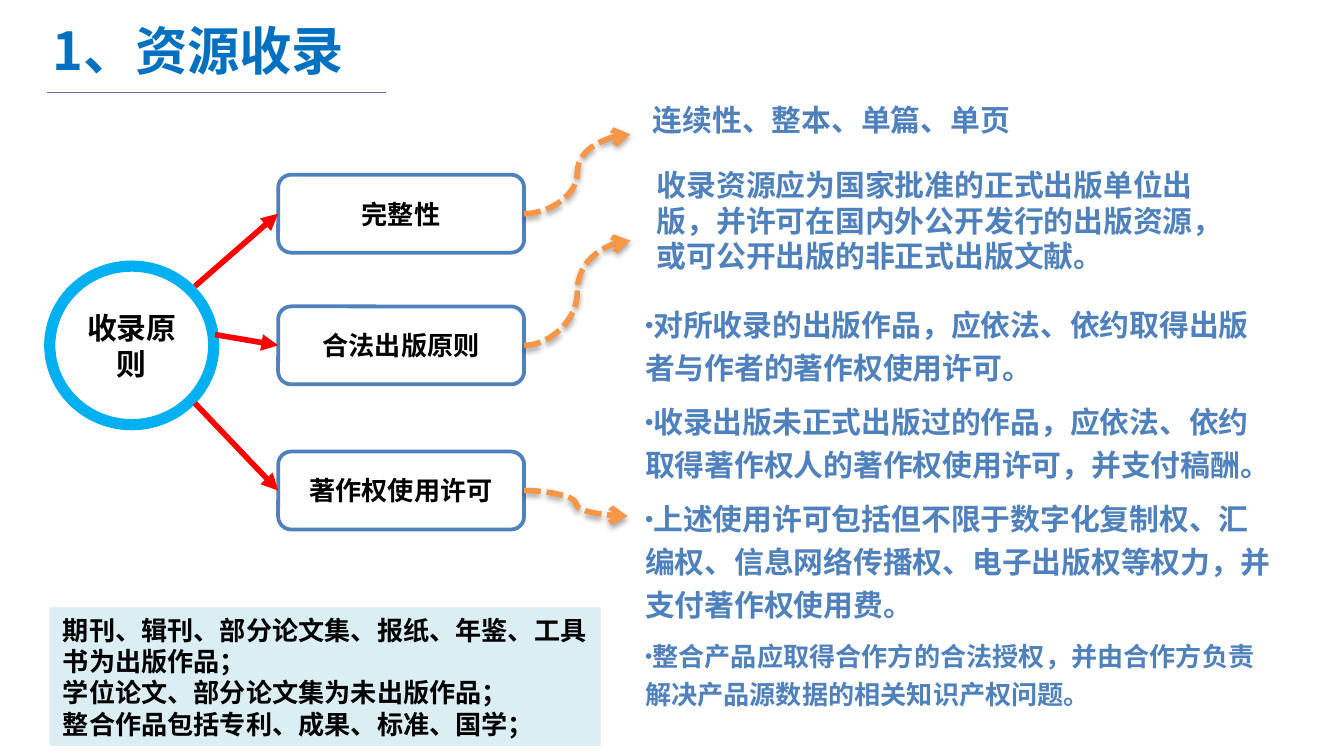
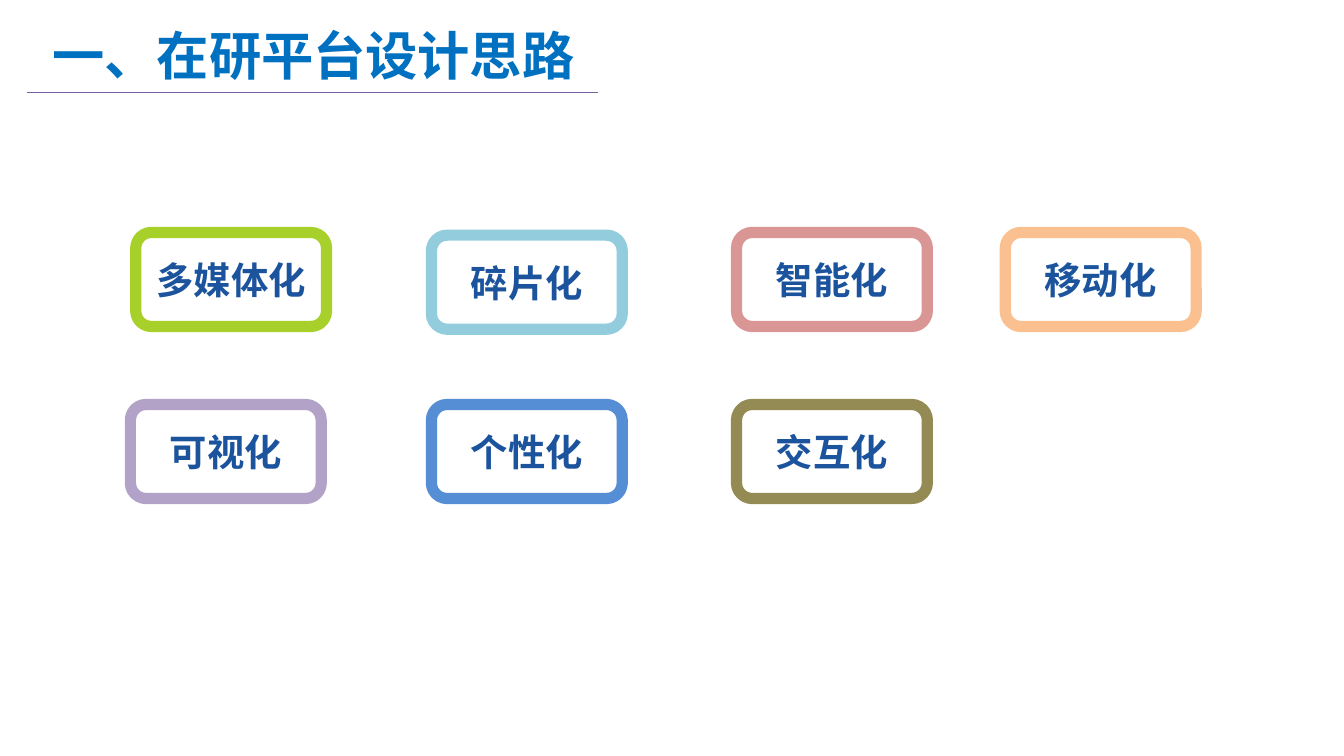
from itertools import chain, repeat

from lxml.etree import SubElement
from pptx import Presentation
from pptx.dml.color import RGBColor
from pptx.enum.dml import MSO_LINE
from pptx.enum.lang import MSO_LANGUAGE_ID
from pptx.enum.shapes import MSO_CONNECTOR, MSO_SHAPE
from pptx.enum.text import MSO_ANCHOR, MSO_AUTO_SIZE, PP_ALIGN
from pptx.oxml.ns import qn
from pptx.util import Inches, Pt

COLUMNS, ROWS = 100, 56.25
CJK = "Noto Sans CJK SC"
LATIN = "Calibri"
COLORS = {
    "title": "0070C0", "rule": "7D60A0", "white": "FFFFFF", "black": "000000",
    "ring": "00B0F0", "blue": "4F81BD", "orange": "F79646", "red": "FF0000",
    "note": "DBEEF4", "label": "1B539D", "lime": "A8D02A", "aqua": "93CDDD",
    "rose": "D99694", "peach": "FAC090", "lilac": "B3A2C7", "azure": "558ED5",
    "olive": "948A54",
}


def rgb(name):
    return RGBColor.from_string(COLORS[name])


def add_bullet(paragraph, color):
    properties = paragraph._p.get_or_add_pPr()
    properties.set("marL", "0")
    properties.set("indent", "0")
    tint = SubElement(properties, qn("a:buClr"))
    SubElement(tint, qn("a:srgbClr"), val=COLORS[color])
    SubElement(properties, qn("a:buSzPct"), val="80000")
    SubElement(properties, qn("a:buFont"), typeface="Arial")
    SubElement(properties, qn("a:buChar"), char="•")


def write(frame, text, sizes=(16,), font=CJK, color="black", align=PP_ALIGN.LEFT,
          anchor=MSO_ANCHOR.TOP, wrap=True, grow=False, inset=0.1,
          bullet=False, spacing=1.0, gap=0):
    frame.word_wrap = wrap
    frame.vertical_anchor = anchor
    frame.auto_size = MSO_AUTO_SIZE.SHAPE_TO_FIT_TEXT if grow else MSO_AUTO_SIZE.NONE
    frame.margin_left = frame.margin_right = Inches(inset)
    frame.margin_top = frame.margin_bottom = Inches(0.05)
    lines = text.split("\n")
    for index, (line, size) in enumerate(zip(lines, chain(sizes, repeat(sizes[-1])))):
        paragraph = frame.add_paragraph() if index else frame.paragraphs[0]
        if bullet:
            add_bullet(paragraph, color)
        paragraph.alignment = align
        paragraph.line_spacing = spacing
        paragraph.space_before = Pt(gap if index else 0)
        run = paragraph.add_run()
        run.text = line
        run.font.size = Pt(size)
        run.font.bold = True
        run.font.name = font
        run.font.color.rgb = rgb(color)
        run.font.language_id = MSO_LANGUAGE_ID.SIMPLIFIED_CHINESE
        SubElement(run._r.get_or_add_rPr(), qn("a:ea"), typeface=CJK)


class Deck:
    def __init__(self):
        self.file = Presentation()
        self.file.slide_width = Inches(10)
        self.file.slide_height = Inches(5.625)
        self.column = self.file.slide_width / COLUMNS
        self.row = self.file.slide_height / ROWS
        self.slide = None

    def grid(self, *lengths):
        return [round(length * unit) for length, unit
                in zip(lengths, (self.column, self.row) * 2)]

    def place(self, holder, area):
        holder.left, holder.top, holder.width, holder.height = self.grid(*area)

    def start(self, layout, title, area, rule):
        self.slide = self.file.slides.add_slide(self.file.slide_layouts[layout])
        self.place(self.slide.shapes.title, area)
        write(self.slide.shapes.title.text_frame, title, sizes=(28,), color="title",
              anchor=MSO_ANCHOR.MIDDLE)
        left, right = rule
        self.line((left, 6.9), (right, 6.9), "rule", 0.75)

    def body(self, area, text, **format):
        holder = self.slide.placeholders[1]
        self.place(holder, area)
        write(holder.text_frame, text, **format)

    def text(self, area, text, **format):
        write(self.slide.shapes.add_textbox(*self.grid(*area)).text_frame, text, **format)

    def box(self, area, text, preset=MSO_SHAPE.ROUNDED_RECTANGLE, fill="white",
            outline=None, weight=2, **format):
        shape = self.slide.shapes.add_shape(preset, *self.grid(*area))
        shape.shadow.inherit = False
        shape.fill.solid()
        shape.fill.fore_color.rgb = rgb(fill)
        if outline:
            shape.line.color.rgb = rgb(outline)
            shape.line.width = Pt(weight)
        else:
            shape.line.fill.background()
        write(shape.text_frame, text, **format)
        return shape

    def line(self, start, end, color, weight, head=None, curved=False, target=None):
        kind = MSO_CONNECTOR.CURVE if curved else MSO_CONNECTOR.STRAIGHT
        connector = self.slide.shapes.add_connector(kind, *self.grid(*start, *end))
        if target is not None:
            connector.end_connect(target, 1)
        connector.line.color.rgb = rgb(color)
        connector.line.width = Pt(weight)
        if curved:
            connector.line.dash_style = MSO_LINE.SQUARE_DOT
        if head:
            SubElement(connector.line._get_or_add_ln(), qn("a:tailEnd"), type=head)
        effects = SubElement(connector._element.spPr, qn("a:effectLst"))
        if curved:
            shadow = SubElement(effects, qn("a:outerShdw"), blurRad=str(Pt(3.1)),
                                dist=str(Pt(1.8)), dir="5400000", rotWithShape="0")
            shade = SubElement(shadow, qn("a:srgbClr"), val=COLORS["black"])
            SubElement(shade, qn("a:alpha"), val="35000")


def build_collection(deck):
    deck.start(1, "1、资源收录", (2.9, 1.3, 50.6, 4.8), (3.5, 28.7))
    centred = {"align": PP_ALIGN.CENTER, "anchor": MSO_ANCHOR.MIDDLE, "inset": 0}
    deck.box((3.7, 19.8, 12.2, 11.8), "收录原则", preset=MSO_SHAPE.OVAL,
             outline="ring", weight=6, **centred)

    principles = [
        ("完整性", 13, (14.5, 21.3), [(15.9, 46.9, 10)]),
        ("合法出版原则", 22.8, (16, 24.9), [(25.7, 46.9, 17.9)]),
        ("著作权使用许可", 33.6, (14.5, 30), [(36.5, 46.7, 38.4)]),
    ]
    for name, top, origin, details in principles:
        principle = deck.box((20.7, top, 18.3, 5.8), name, outline="blue",
                             sizes=(14,), **centred)
        deck.line(origin, (20.7, top + 2.9), "red", 3, "triangle", target=principle)
        for start_row, end_column, end_row in details:
            deck.line((39, start_row), (end_column, end_row), "orange", 3, "arrow",
                      curved=True)

    detail = {"font": LATIN, "color": "blue", "grow": True}
    deck.text((47.6, 7.1, 28.8, 3.7), "连续性、整本、单篇、单页", wrap=False, **detail)
    deck.text((47.9, 11.9, 43.3, 9),
              "收录资源应为国家批准的正式出版单位出版，并许可在国内外公开发行的出版资源，"
              "或可公开出版的非正式出版文献。", **detail)
    deck.body((47, 21.8, 48.6, 31.5),
              "对所收录的出版作品，应依法、依约取得出版者与作者的著作权使用许可。\n"
              "收录出版未正式出版过的作品，应依法、依约取得著作权人的著作权使用许可，"
              "并支付稿酬。\n"
              "上述使用许可包括但不限于数字化复制权、汇编权、信息网络传播权、"
              "电子出版权等权力，并支付著作权使用费。\n"
              "整合产品应取得合作方的合法授权，并由合作方负责解决产品源数据的"
              "相关知识产权问题。",
              sizes=(16, 16, 16, 14), bullet=True, spacing=1.2, gap=6, **detail)
    deck.box((3.7, 45.2, 41, 10.3),
             "期刊、辑刊、部分论文集、报纸、年鉴、工具书为出版作品；\n"
             "学位论文、部分论文集为未出版作品；\n"
             "整合作品包括专利、成果、标准、国学；",
             preset=MSO_SHAPE.RECTANGLE, fill="note", sizes=(14,), grow=True)


def build_platform(deck):
    deck.start(5, "一、在研平台设计思路", (2.9, 1.1, 43, 6), (2, 44.5))
    features = [
        ("多媒体化", "lime", 10.1, 17.3), ("碎片化", "aqua", 32.1, 17.5),
        ("智能化", "rose", 54.8, 17.3), ("移动化", "peach", 74.8, 17.3),
        ("可视化", "lilac", 9.7, 30.1), ("个性化", "azure", 32.1, 30.1),
        ("交互化", "olive", 54.8, 30.1),
    ]
    for name, outline, column, row in features:
        deck.box((column, row, 14.2, 7), name, outline=outline, weight=6, sizes=(20,),
                 color="label", align=PP_ALIGN.CENTER, anchor=MSO_ANCHOR.MIDDLE,
                 wrap=False)


def main():
    deck = Deck()
    build_collection(deck)
    build_platform(deck)
    deck.file.save("out.pptx")


if __name__ == "__main__":
    main()
